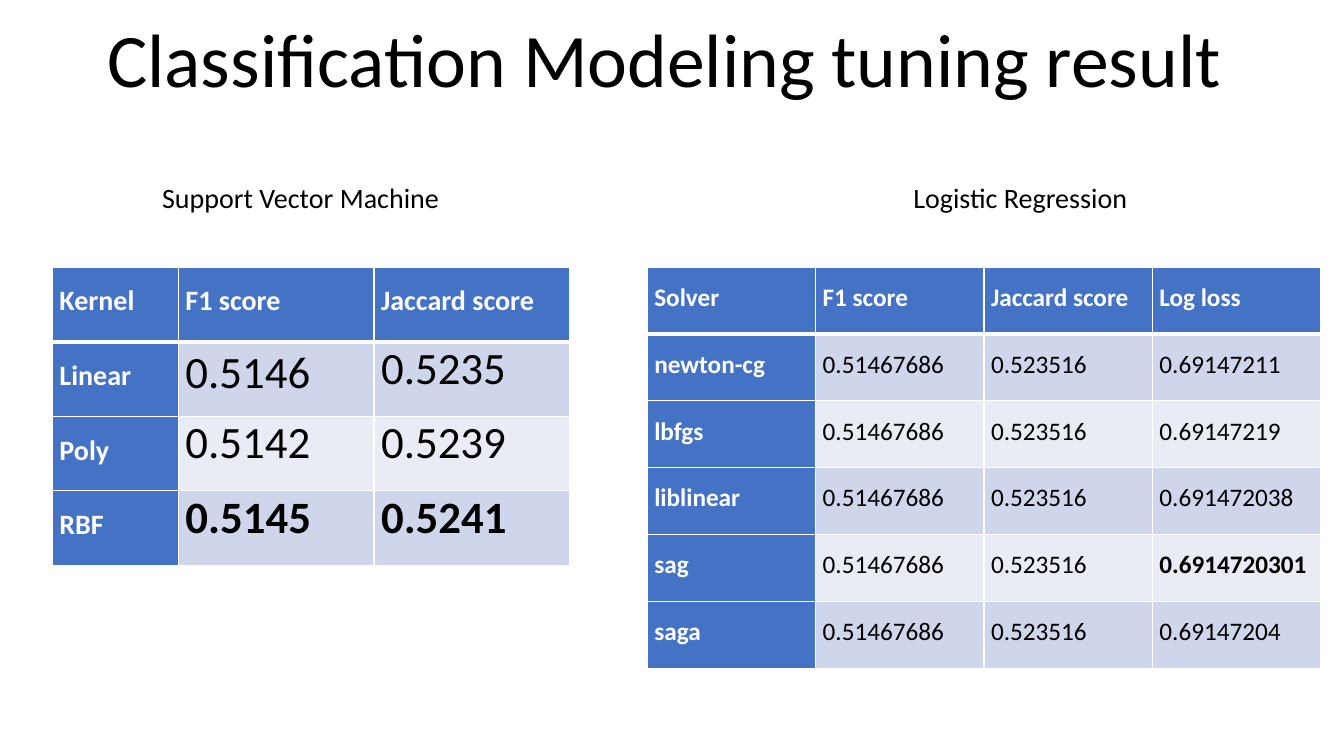
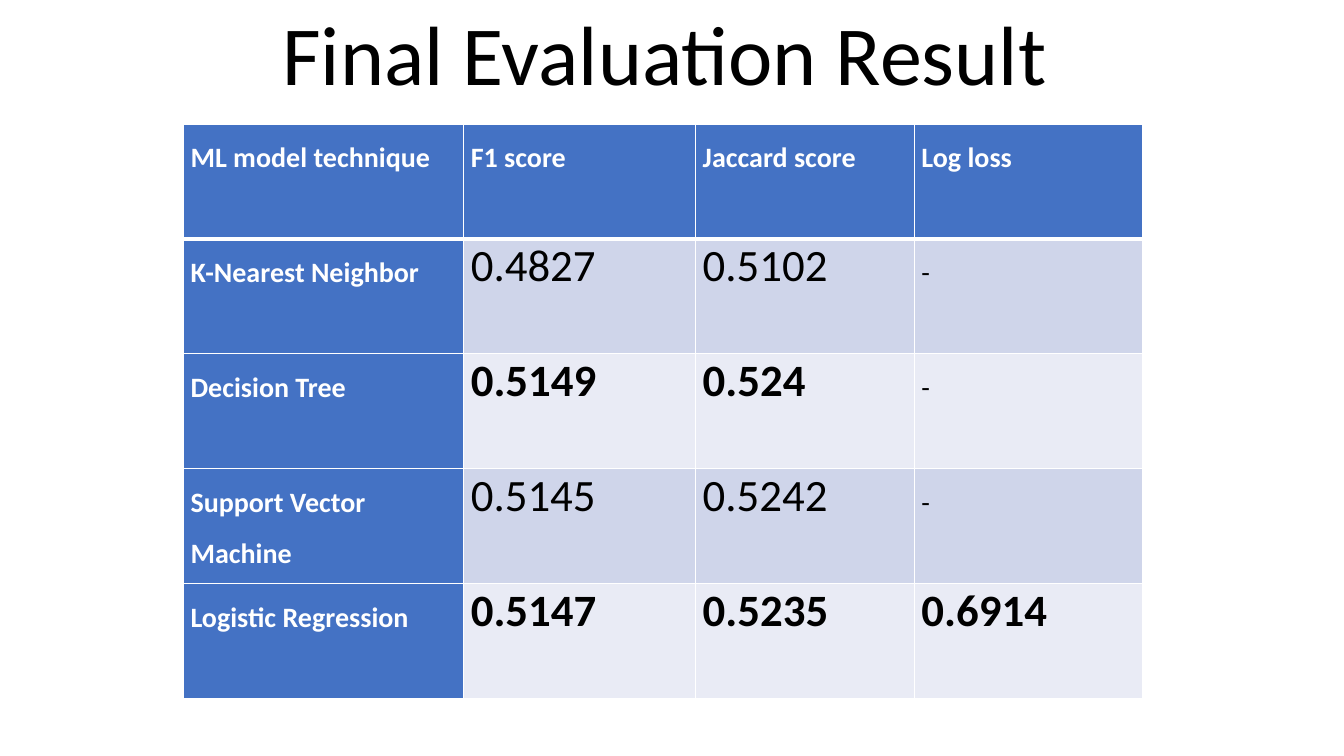
from dataclasses import dataclass

from lxml import etree
from pptx import Presentation
from pptx.dml.color import RGBColor
from pptx.enum.text import MSO_ANCHOR, MSO_AUTO_SIZE, PP_ALIGN
from pptx.oxml.ns import qn
from pptx.util import Emu, Pt

BOTTOM = MSO_ANCHOR.BOTTOM
CENTER = PP_ALIGN.CENTER
NO_FIT = MSO_AUTO_SIZE.NONE
TITLE_ONLY = 5
PX = 9144  # 100 px to the inch


@dataclass(frozen=True)
class Theme:
    font: str = "Calibri"
    black: str = "000000"
    white: str = "FFFFFF"
    header: str = "4472C4"
    bands: tuple = ("CFD5EA", "E9EBF5")
    label: int = 20
    compact: int = 18
    score: int = 32
    thin: int = 1
    thick: int = 3


THEME = Theme()

SLIDES = [
    {
        "title": "Classification Modeling tuning result",
        "title_size": 54,
        "labels": [("Support Vector Machine", 151), ("Logistic Regression", 896)],
        "tables": [
            {
                "box": (52, 265, 513, 296),
                "widths": (125, 194, 194),
                "sizes": (THEME.label, THEME.score),
                "rows": [
                    ("Kernel", "F1 score", "Jaccard score"),
                    ("Linear", "0.5146", "0.5235"),
                    ("Poly", "0.5142", "0.5239"),
                    ("RBF", "0.5145", "0.5241"),
                ],
                "best": {(3, 1), (3, 2)},
                "spacing": {(1, 1): 1.07},
            },
            {
                "box": (642, 265, 668, 398),
                "widths": (167,) * 4,
                "sizes": (THEME.compact, THEME.compact),
                "rows": [
                    ("Solver", "F1 score", "Jaccard score", "Log loss"),
                    ("newton-cg", "0.51467686", "0.523516", "0.69147211"),
                    ("lbfgs", "0.51467686", "0.523516", "0.69147219"),
                    ("liblinear", "0.51467686", "0.523516", "0.691472038"),
                    ("sag", "0.51467686", "0.523516", "0.6914720301"),
                    ("saga", "0.51467686", "0.523516", "0.69147204"),
                ],
                "best": {(4, 3)},
                "spacing": {},
            },
        ],
    },
    {
        "title": "Final Evaluation Result",
        "title_size": 60,
        "labels": [],
        "tables": [
            {
                "box": (182, 123, 951, 570),
                "widths": (278, 230, 217, 226),
                "sizes": (THEME.label, THEME.score),
                "rows": [
                    ("ML model technique", "F1 score", "Jaccard score", "Log loss"),
                    ("K-Nearest Neighbor", "0.4827", "0.5102", "-"),
                    ("Decision Tree", "0.5149", "0.524", "-"),
                    ("Support Vector Machine", "0.5145", "0.5242", "-"),
                    ("Logistic Regression", "0.5147", "0.5235", "0.6914"),
                ],
                "best": {(2, 1), (2, 2), (4, 1), (4, 2), (4, 3)},
                "spacing": {},
            },
        ],
    },
]


def set_text(tf, text, size, color=THEME.black, bold=False):
    """Write one formatted paragraph and return it."""
    tf.text = text
    p = tf.paragraphs[0]
    font = p.runs[0].font
    font.name = THEME.font
    font.size = Pt(size)
    font.bold = bold
    font.color.rgb = RGBColor.from_string(color)
    return p


def set_borders(cell, row):
    """Draw white cell borders, thick between the header and the body."""
    tc_pr = cell._tc.get_or_add_tcPr()
    for side in "LRTB":
        thick = (row, side) in ((0, "B"), (1, "T"))
        width = THEME.thick if thick else THEME.thin
        ln = etree.SubElement(tc_pr, qn(f"a:ln{side}"), w=str(Pt(width)))
        fill = etree.SubElement(ln, qn("a:solidFill"))
        etree.SubElement(fill, qn("a:srgbClr"), val=THEME.white)


prs = Presentation()
prs.slide_width = Emu(1333 * PX)
prs.slide_height = Emu(750 * PX)

for content in SLIDES:
    slide = prs.slides.add_slide(prs.slide_layouts[TITLE_ONLY])

    title = slide.shapes.title
    title.left, title.top, title.width, title.height = [
        Emu(n * PX) for n in (88, 5, 1142, 103)]
    tf = title.text_frame
    tf.auto_size = NO_FIT
    tf.vertical_anchor = BOTTOM
    p = set_text(tf, content["title"], content["title_size"])
    p.alignment = CENTER
    p.line_spacing = 0.9

    for text, x in content["labels"]:
        sp = slide.shapes.add_textbox(*[Emu(n * PX) for n in (x, 174, 314, 44)])
        sp.text_frame.word_wrap = True
        set_text(sp.text_frame, text, THEME.label)

    for data in content["tables"]:
        rows, widths = data["rows"], data["widths"]
        box = [Emu(n * PX) for n in data["box"]]
        table = slide.shapes.add_table(len(rows), len(widths), *box).table
        table.first_col = True
        for column, width in zip(table.columns, widths):
            column.width = Emu(width * PX)

        label_size, value_size = data["sizes"]
        for r, row in enumerate(rows):
            for c, text in enumerate(row):
                cell = table.cell(r, c)
                cell.margin_left = cell.margin_right = Emu(7 * PX)
                cell.margin_top = cell.margin_bottom = 0
                set_borders(cell, r)

                heading = r == 0 or c == 0
                fill = THEME.header if heading else THEME.bands[(r - 1) % 2]
                cell.fill.solid()
                cell.fill.fore_color.rgb = RGBColor.from_string(fill)

                size = label_size if heading or text == "-" else value_size
                color = THEME.white if heading else THEME.black
                bold = heading or (r, c) in data["best"]
                p = set_text(cell.text_frame, text, size, color, bold)
                if size == THEME.score:
                    p.line_spacing = data["spacing"].get((r, c), 1.0)
                else:
                    p.line_spacing = 1.5
                    p.space_before = Pt(3)

prs.save("out.pptx")
